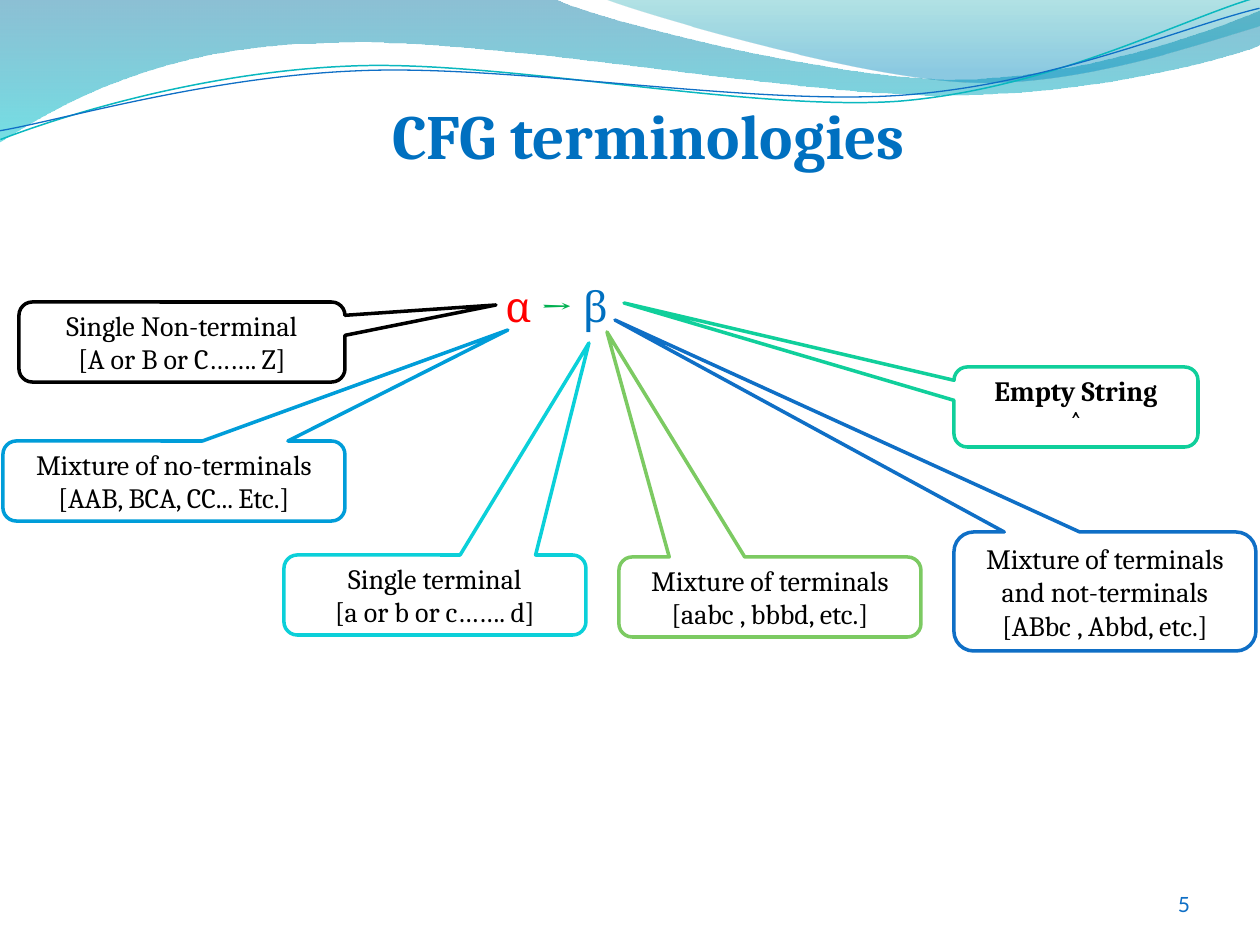
"""Builds a slide on CFG terminologies with callouts around a production rule."""
from lxml import etree
from pptx import Presentation
from pptx.dml.color import RGBColor
from pptx.enum.shapes import MSO_SHAPE
from pptx.enum.text import MSO_ANCHOR, MSO_AUTO_SIZE, PP_ALIGN
from pptx.oxml.ns import qn
from pptx.util import Pt

CALLOUT = MSO_SHAPE.ROUNDED_RECTANGULAR_CALLOUT
TOP, MIDDLE, BOTTOM = MSO_ANCHOR.TOP, MSO_ANCHOR.MIDDLE, MSO_ANCHOR.BOTTOM
CENTER, RIGHT = PP_ALIGN.CENTER, PP_ALIGN.RIGHT
NO_FIT = MSO_AUTO_SIZE.NONE
PX = 914400 / 126
COLORS = {
    "white": "FFFFFF", "black": "000000", "red": "FF0000", "arrow": "00B050",
    "title": "0070C0", "blue": "0F6FC6", "sky": "009DD9", "cyan": "0BD0D9",
    "mint": "10CF9B", "green": "7CCA62", "teal": "0AB8BF",
    "wave blue": "0074A1", "wave cyan": "00C6CF",
    "crest teal": "00A1A9", "crest blue": "008BBF",
}


def write(shape, paragraphs, size, align=CENTER, anchor=TOP, font="Cambria", bold=False):
    """Fills a shape with paragraphs, each a list of (text, colour) runs."""
    frame = shape.text_frame
    frame.word_wrap = True
    frame.auto_size = NO_FIT
    frame.vertical_anchor = anchor
    for index, runs in enumerate(paragraphs):
        para = frame.paragraphs[0] if index == 0 else frame.add_paragraph()
        para.alignment = align
        for text, color in runs:
            span = para.add_run()
            span.text = text
            span.font.name = font
            span.font.size = Pt(size)
            span.font.bold = bold
            span.font.color.rgb = RGBColor.from_string(COLORS[color])


def draw_curve(page, start, segments, close):
    """Draws an outline of straight (2 numbers) and cubic (6 numbers) segments."""
    points = [pair for segment in segments for pair in zip(segment[::2], segment[1::2])]
    builder = page.shapes.build_freeform(*start, scale=PX)
    builder.add_line_segments(points, close=close)
    shape = builder.convert_to_shape()
    shape.shadow.inherit = False
    corners = iter(list(shape._element.spPr.iter(qn("a:lnTo"))))
    for segment in segments:
        corner = next(corners)
        if len(segment) == 6:
            curve = etree.Element(qn("a:cubicBezTo"))
            corner.addprevious(curve)
            for part in (corner, next(corners), next(corners)):
                curve.append(part[0])
                part.getparent().remove(part)
    return shape


deck = Presentation()
deck.slide_width, deck.slide_height = round(1260 * PX), round(945 * PX)
page = deck.slides.add_slide(deck.slide_layouts[5])

waves = [
    ((0, 0), [(554, -1), (600, 21, 837, 79, 955, 79), (1075, 79, 1207, 33, 1260, 11),
              (1261, 45), (1239, 55, 1096, 96, 940, 95), (784, 95, 481, 35, 324, 43),
              (163, 45, 58, 105, -1, 142)],
     [(0, "wave blue", 45), (1, "wave cyan", 55)]),
    ((604, -1), [(641, 14, 859, 78, 969, 82), (1079, 87, 1211, 40, 1260, 26), (1260, 0)],
     [(0, "crest teal", 30), (0.8, "crest blue", 45)]),
]
for start, segments, stops in waves:
    wave = draw_curve(page, start, segments, True)
    wave.line.fill.background()
    wave.fill.gradient()
    wave.fill.gradient_angle = 270
    for stop, (position, color, _) in zip(wave.fill.gradient_stops, stops):
        stop.position = position
        stop.color.rgb = RGBColor.from_string(COLORS[color])
    for tint, (_, _, opacity) in zip(wave._element.spPr.iter(qn("a:srgbClr")), stops):
        etree.SubElement(tint, qn("a:alpha")).set("val", str(opacity * 1000))

strands = [
    ((-2, 110), [(58, 90, 200, 52, 350, 53), (499, 53, 745, 117, 896, 114),
                 (1049, 109, 1184, 45, 1260, 27)], "teal", 0.85),
    ((-2, 101), [(57, 94, 207, 57, 357, 58), (509, 58, 750, 112, 902, 108),
                 (1052, 104, 1187, 52, 1262, 38)], "blue", 0.75),
]
pair = []
for start, segments, color, width in strands:
    strand = draw_curve(page, start, segments, False)
    strand.rotation = -2.7
    strand.fill.background()
    strand.line.color.rgb = RGBColor.from_string(COLORS[color])
    strand.line.width = Pt(width)
    pair.append(strand)
page.shapes.add_group_shape(pair)

number = page.shapes.add_textbox(*[round(v * PX) for v in (1117, 861, 73, 56)])
frame = number.text_frame
frame.margin_left = frame.margin_right = frame.margin_top = frame.margin_bottom = 0
write(number, [[("5", "blue")]], 12, RIGHT, BOTTOM, "Lato")

title = page.shapes.title
title.left, title.top, title.width, title.height = [round(v * PX) for v in (120, 90, 1071, 72)]
write(title, [[("CFG terminologies ", "title")]], 36, bold=True)
page.shapes._spTree.append(title._element)

rule = page.shapes.add_textbox(*[round(v * PX) for v in (426, 274, 261, 63)])
write(rule, [[("α ", "red"), ("→ ", "arrow"), ("β", "title")]], 24)

callouts = [
    ((19, 302, 326, 80), (496, 305), "black", ["Single Non-terminal", "[A or B or C……. Z]"]),
    ((284, 555, 302, 80), (589, 343), "cyan", ["Single terminal", "[a or b or c……. d]"]),
    ((3, 441, 342, 80), (508, 330), "sky", ["Mixture of no-terminals", "[AAB, BCA, CC... Etc.]"]),
    ((619, 557, 302, 80), (607, 332), "green", ["Mixture of terminals", "[aabc , bbbd, etc.]"]),
    ((954, 532, 302, 119), (615, 320), "blue",
     ["Mixture of terminals and not-terminals", "[ABbc , Abbd, etc.]"]),
    ((954, 367, 244, 80), (624, 303), "mint", ["Empty String", "˄"]),
]
for (left, top, width, height), (tip_x, tip_y), color, lines in callouts:
    box = page.shapes.add_shape(CALLOUT, *[round(v * PX) for v in (left, top, width, height)])
    box.adjustments[0] = (tip_x - left) / width - 0.5
    box.adjustments[1] = (tip_y - top) / height - 0.5
    box.shadow.inherit = False
    box.fill.solid()
    box.fill.fore_color.rgb = RGBColor.from_string(COLORS["white"])
    box.line.color.rgb = RGBColor.from_string(COLORS[color])
    box.line.width = Pt(2)
    write(box, [[(line, "black")] for line in lines], 16, anchor=MIDDLE, bold=color == "mint")

deck.save("out.pptx")
